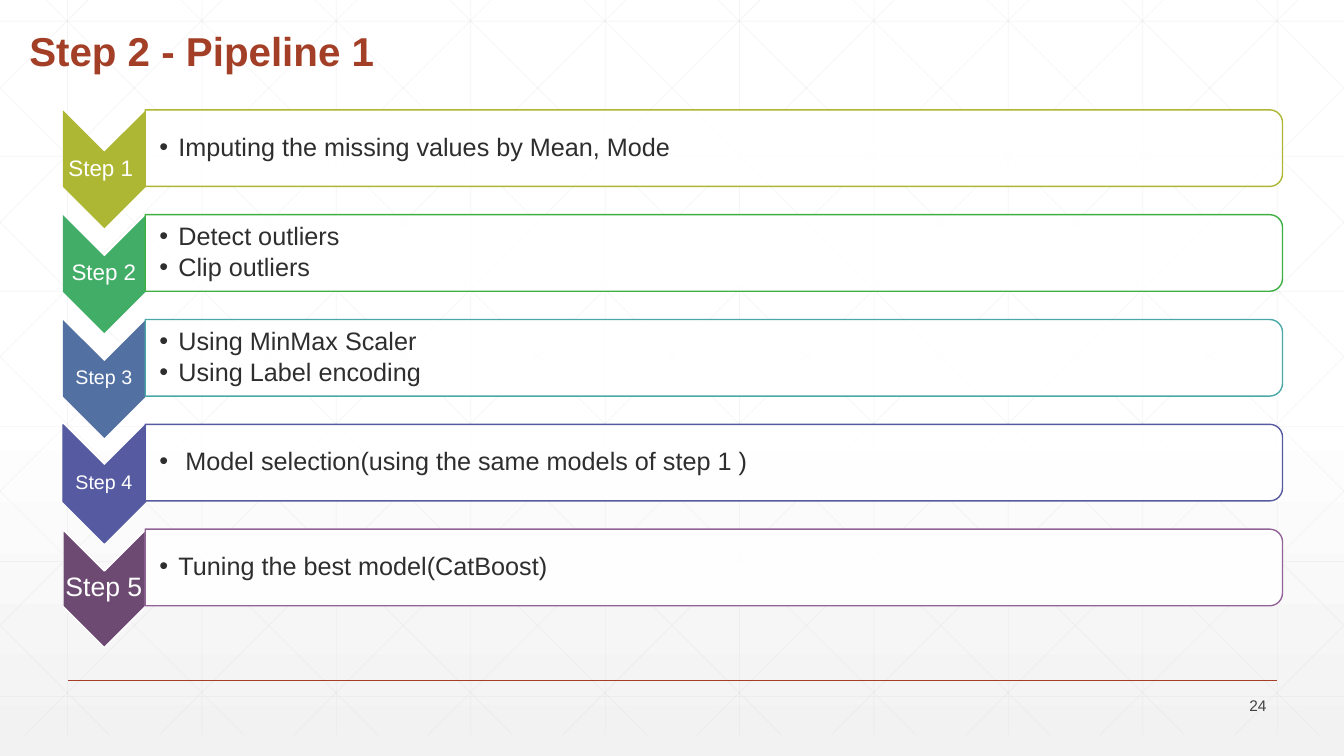
from lxml.etree import SubElement
from pptx import Presentation
from pptx.dml.color import RGBColor
from pptx.enum.shapes import MSO_CONNECTOR, MSO_SHAPE
from pptx.enum.text import MSO_ANCHOR, MSO_AUTO_SIZE, PP_ALIGN
from pptx.oxml.ns import qn
from pptx.util import Inches, Pt

WIDTH, HEIGHT = 13.33, 7.5
FONT = "Arial"
COLORS = {
    "title": "A43F27", "white": "FFFFFF", "shade": "F2F2F2", "grid": "D9D9D9",
    "body": "2D2E2D", "number": "424342",
    "olive": "AEB733", "green": "42AD67", "leaf": "3EB042", "blue": "5270A2",
    "teal": "4AA8A6", "indigo": "565AA0", "plum": "6D4A71", "mauve": "926397",
}
GRID_PITCH, GRID_BOTTOM = 1.333, 7.29
STEP_PITCH = 1.04
STEPS = [
    ("Step 1 ", 16, "olive", None, "olive", ["Imputing the missing values by Mean, Mode"]),
    ("Step 2", 16, "green", None, "leaf", ["Detect outliers", "Clip outliers"]),
    ("Step 3", 14, "blue", None, "teal", ["Using MinMax Scaler", "Using Label encoding"]),
    ("Step 4", 14, "indigo", "indigo", "indigo",
     [" Model selection(using the same models of step 1 )"]),
    ("Step 5", 19, "plum", "white", "mauve", ["Tuning the best model(CatBoost)"]),
]


def rgb(name):
    """Return the named colour."""
    return RGBColor.from_string(COLORS[name])


def set_opacity(fill_parent, percent):
    """Make the solid fill below an element partly transparent."""
    color = fill_parent.find(qn("a:solidFill"))[0]
    SubElement(color, qn("a:alpha"), val=str(percent * 1000))


def add_rule(slide, start, end, color, width, opacity=100):
    """Draw a straight line between two points."""
    rule = slide.shapes.add_connector(
        MSO_CONNECTOR.STRAIGHT, *(Inches(v) for v in (*start, *end)))
    rule.line.color.rgb = rgb(color)
    rule.line.width = Pt(width)
    properties = rule.element.spPr
    if opacity < 100:
        set_opacity(properties.find(qn("a:ln")), opacity)
    SubElement(properties, qn("a:effectLst"))


def add_grid(slide):
    """Draw the faint lattice behind the content."""
    segments = []
    for column in range(10):
        x = 0.67 + column * GRID_PITCH
        segments.append(((x, 0), (x, GRID_BOTTOM)))
    for row in range(6):
        y = 0.21 + row * 1.34
        segments.append(((0, y), (WIDTH, y)))
    for index in range(-5, 10):
        x = 0.46 + index * GRID_PITCH
        top, bottom = max(0, -x), min(GRID_BOTTOM, WIDTH - x)
        segments.append(((x + top, top), (x + bottom, bottom)))
        segments.append(((WIDTH - x - top, top), (WIDTH - x - bottom, bottom)))
    for start, end in segments:
        add_rule(slide, start, end, "grid", 0.5, 25)


def add_background(slide):
    """Shade the slide from white to light grey."""
    fill = slide.background.fill
    fill.gradient()
    fill.gradient_angle = 270
    for stop, (position, color) in zip(fill.gradient_stops, [(0.53, "white"), (1, "shade")]):
        stop.position = position
        stop.color.rgb = rgb(color)


def write(paragraph, text, size, color, bold=False):
    """Add one formatted run to a paragraph."""
    run = paragraph.add_run()
    run.text = text
    run.font.name = FONT
    run.font.size = Pt(size)
    run.font.bold = bold
    run.font.color.rgb = rgb(color)


def add_title(slide, text):
    """Fill the title placeholder and bring it in front of the grid."""
    title = slide.shapes.title
    title.left, title.top, title.width, title.height = map(Inches, (0.19, 0.19, 10.5, 0.61))
    frame = title.text_frame
    frame.auto_size = MSO_AUTO_SIZE.NONE
    frame.vertical_anchor = MSO_ANCHOR.BOTTOM
    heading = frame.paragraphs[0]
    heading.alignment = PP_ALIGN.LEFT
    heading.line_spacing = 0.9
    write(heading, text, 28.8, "title", bold=True)
    title.element.getparent().append(title.element)


def add_text_frame(slide, box, left_inset=0.01, inset=0.01):
    """Add a wrapping, vertically centred text box and return its frame."""
    frame = slide.shapes.add_textbox(*map(Inches, box)).text_frame
    frame.word_wrap = True
    frame.vertical_anchor = MSO_ANCHOR.MIDDLE
    frame.margin_left = Inches(left_inset)
    frame.margin_top = frame.margin_right = frame.margin_bottom = Inches(inset)
    return frame


def add_turned_shape(slide, kind, box, fill, outline):
    """Add a preset shape turned a quarter clockwise."""
    shape = slide.shapes.add_shape(kind, *map(Inches, box))
    shape.rotation = 90
    shape.shadow.inherit = False
    shape.fill.solid()
    shape.fill.fore_color.rgb = rgb(fill)
    if outline:
        shape.line.color.rgb = rgb(outline)
        shape.line.width = Pt(1)
    else:
        shape.line.fill.background()
    return shape


def add_bullets(frame, items):
    """Write the items as a bulleted list."""
    for index, item in enumerate(items):
        bullet = frame.add_paragraph() if index else frame.paragraphs[0]
        bullet.line_spacing = 0.9
        bullet.space_after = Pt(3)
        properties = bullet._p.get_or_add_pPr()
        properties.set("marL", str(Inches(0.19)))
        properties.set("indent", str(Inches(-0.19)))
        SubElement(properties, qn("a:buFont"), typeface=FONT)
        SubElement(properties, qn("a:buChar"), char="•")
        write(bullet, item, 18, "body")


def add_step(slide, index, label, size, fill, outline, border, items):
    """Add one step: chevron, label, bar and list."""
    offset = index * STEP_PITCH
    add_turned_shape(slide, MSO_SHAPE.CHEVRON, (0.45, 1.27 + offset, 1.17, 0.82), fill, outline)
    caption = add_text_frame(slide, (0.62, 1.5 + offset, 0.82, 0.35)).paragraphs[0]
    caption.alignment = PP_ALIGN.CENTER
    caption.line_spacing = 0.9
    write(caption, label, size, "white")
    bar = add_turned_shape(slide, MSO_SHAPE.ROUND_2_SAME_RECTANGLE,
                           (6.7, -4.17 + offset, 0.76, 11.28), "white", border)
    set_opacity(bar.element.spPr, 90)
    add_bullets(add_text_frame(slide, (1.44, 1.13 + offset, 11.24, 0.68), 0.14), items)


def add_page_number(slide, number):
    """Write the page number at the lower right."""
    page = add_text_frame(slide, (11.66, 6.88, 1, 0.24), 0.1, 0.1).paragraphs[0]
    page.alignment = PP_ALIGN.RIGHT
    write(page, number, 11, "number")


def main():
    """Build the slide and save it."""
    deck = Presentation()
    deck.slide_width, deck.slide_height = Inches(WIDTH), Inches(HEIGHT)
    slide = deck.slides.add_slide(deck.slide_layouts[5])
    add_background(slide)
    add_grid(slide)
    add_rule(slide, (0.67, 6.75), (12.67, 6.75), "title", 1)
    add_title(slide, "Step 2 - Pipeline 1")
    for index, step in enumerate(STEPS):
        add_step(slide, index, *step)
    add_page_number(slide, "24")
    deck.save("out.pptx")


if __name__ == "__main__":
    main()
